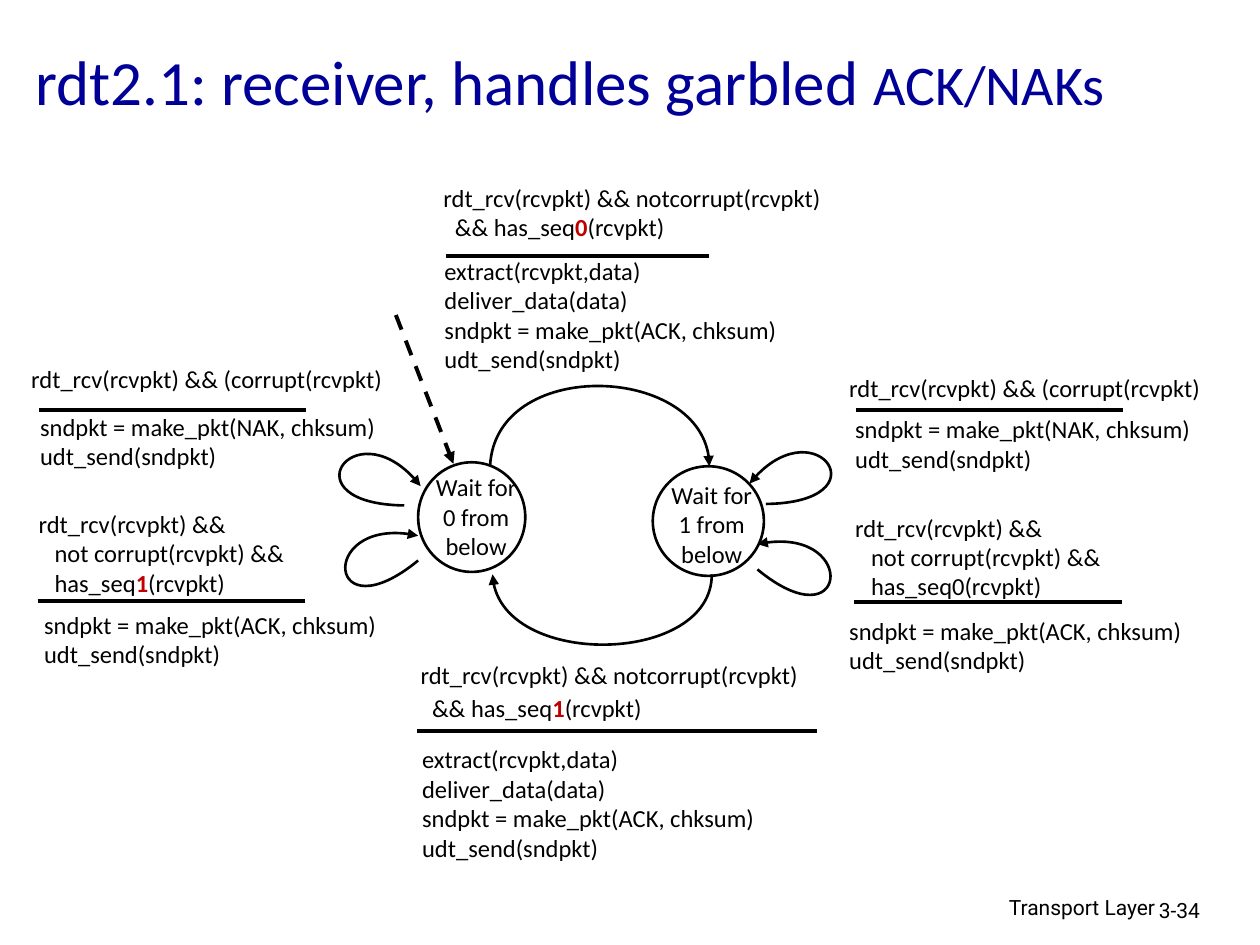
from dataclasses import dataclass

from pptx import Presentation
from pptx.dml.color import RGBColor
from pptx.enum.dml import MSO_LINE_DASH_STYLE as Dash
from pptx.enum.shapes import MSO_CONNECTOR as Connector, MSO_SHAPE as Preset
from pptx.enum.text import MSO_ANCHOR as Anchor, PP_ALIGN as Align
from pptx.oxml.ns import qn
from pptx.util import Cm, Pt

BLACK = RGBColor(0x00, 0x00, 0x00)
WHITE = RGBColor(0xFF, 0xFF, 0xFF)
NAVY = RGBColor(0x00, 0x00, 0x99)
RED = RGBColor(0xC0, 0x00, 0x00)


@dataclass
class Label:
    """Lines of text; a part between asterisks is highlighted."""
    x: float
    y: float
    width: float
    height: float
    lines: list[str]
    indent: float = 0  # left indent of all lines after the first
    gap: float = 0  # points before all lines after the first


@dataclass
class State:
    x: float
    y: float
    width: float
    text_x: float
    text_y: float
    number: int


ACK = ["sndpkt = make_pkt(ACK, chksum)", "udt_send(sndpkt)"]
NAK = ["sndpkt = make_pkt(NAK, chksum)", "udt_send(sndpkt)"]
DELIVER = ["extract(rcvpkt,data)", "deliver_data(data)", *ACK]
CORRUPT = ["rdt_rcv(rcvpkt) && (corrupt(rcvpkt)"]


def in_order(digit: str) -> list[str]:
    return ["rdt_rcv(rcvpkt) && notcorrupt(rcvpkt)",
            f"&& has_seq{digit}(rcvpkt)"]


def duplicate(digit: str) -> list[str]:
    return ["rdt_rcv(rcvpkt) &&", "not corrupt(rcvpkt) &&",
            f"has_seq{digit}(rcvpkt)"]


LABELS = [
    # Top and bottom transitions
    Label(8.69, 3.56, 8.69, 1.57, in_order("*0*"), indent=0.23),
    Label(8.71, 5.03, 9.65, 1.96, DELIVER),
    Label(8.23, 13.18, 9.96, 1.57, in_order("*1*"), indent=0.23, gap=2),
    Label(8.26, 14.88, 10.69, 2.77, DELIVER),
    # Left loops
    Label(0.38, 7.21, 7.98, 1.7, CORRUPT),
    Label(0.56, 8.18, 8.41, 1.14, NAK),
    Label(0.53, 10.13, 7.29, 1.7, duplicate("*1*"), indent=0.32),
    Label(0.64, 12.17, 8.18, 1.14, ACK),
    # Right loops
    Label(16.87, 7.39, 7.98, 1.7, CORRUPT),
    Label(16.99, 8.23, 8.41, 1.14, NAK),
    Label(16.99, 10.21, 7.29, 1.7, duplicate("0"), indent=0.32),
    Label(16.87, 12.29, 8.18, 1.14, ACK),
]

# Lines between event and action: left, right, height on the page
RULES = [
    (8.99, 14.3, 5.16), (8.41, 16.46, 14.73),
    (0.79, 6.17, 8.26), (0.76, 6.15, 12.12),
    (17.25, 22.63, 8.26), (17.22, 22.61, 12.14),
]

STATES = [
    State(8.43, 9.32, 2.16, 8.48, 9.4, 0),
    State(13.16, 9.4, 2.24, 13.23, 9.55, 1),
]

# Transition arrows: start, two control points, end
CURVES = [
    [(9.88, 9.4), (9.98, 7.21), (14.3, 7.34), (14.3, 9.4)],
    [(14.35, 11.58), (14.35, 13.39), (10.01, 13.49), (9.93, 11.58)],
    [(15.44, 10.16), (17.81, 10.13), (16.41, 8.13), (15.11, 9.75)],
    [(15.27, 11.48), (17.09, 12.98), (17.32, 10.54), (15.27, 10.97)],
    [(8.43, 11.3), (6.6, 12.8), (6.4, 10.36), (8.43, 10.8)],
    [(8.15, 10.19), (5.79, 10.16), (7.19, 8.15), (8.48, 9.8)],
]


def add_span(para, text: str, *, size: float = 14, font: str = "Calibri",
             color: RGBColor = BLACK, bold: bool = False) -> None:
    span = para.add_run()
    span.text = text
    span.font.size = Pt(size)
    span.font.name = font
    span.font.bold = bold
    span.font.color.rgb = color


def add_label(shapes, label: Label, *, align=Align.LEFT, **style) -> None:
    box = shapes.add_textbox(Cm(label.x), Cm(label.y),
                             Cm(label.width), Cm(label.height))
    frame = box.text_frame
    frame.word_wrap = True
    for row, line in enumerate(label.lines):
        para = frame.add_paragraph() if row else frame.paragraphs[0]
        para.alignment = align
        if row and label.indent:
            para._p.get_or_add_pPr().set("marL", str(Cm(label.indent)))
        if row and label.gap:
            para.space_before = Pt(label.gap)
        for part, text in enumerate(line.split("*")):
            marked = {"color": RED, "bold": True} if part % 2 else {}
            add_span(para, text, **{**style, **marked})


def add_arrowhead(line) -> None:
    end = line._get_or_add_ln().makeelement(qn("a:tailEnd"), {"type": "triangle"})
    line._get_or_add_ln().append(end)


def add_line(shapes, x1: float, y1: float, x2: float, y2: float):
    line = shapes.add_connector(Connector.STRAIGHT, Cm(x1), Cm(y1), Cm(x2), Cm(y2))
    line.line.color.rgb = BLACK
    line.line.width = Pt(2.25)
    properties = line._element.spPr
    properties.append(properties.makeelement(qn("a:effectLst"), {}))
    return line


def add_curve(shapes, points: list[tuple[float, float]]) -> None:
    start, *others = [(Cm(x), Cm(y)) for x, y in points]
    builder = shapes.build_freeform(*start)
    builder.add_line_segments(others, close=False)
    curve = builder.convert_to_shape()
    # Turn the three straight segments into one Bézier segment
    path = next(curve._element.iter(qn("a:path")))
    bezier = path.makeelement(qn("a:cubicBezTo"), {})
    for segment in path.findall(qn("a:lnTo")):
        bezier.append(segment[0])
        path.remove(segment)
    path.append(bezier)
    curve.shadow.inherit = False
    curve.fill.background()
    curve.line.color.rgb = BLACK
    curve.line.width = Pt(1.5)
    add_arrowhead(curve.line)


def add_state(shapes, state: State) -> None:
    members = shapes.add_group_shape().shapes
    circle = members.add_shape(Preset.OVAL, Cm(state.x), Cm(state.y),
                               Cm(state.width), Cm(2.21))
    circle.shadow.inherit = False
    circle.fill.solid()
    circle.fill.fore_color.rgb = WHITE
    circle.line.color.rgb = BLACK
    circle.line.width = Pt(1.5)
    name = Label(state.text_x, state.text_y, 2.24, 1.7,
                 ["Wait for", f"{state.number} from below"])
    add_label(members, name, align=Align.CENTER)


def add_title(page) -> None:
    title = page.shapes.title
    title.left, title.top, title.width, title.height = (
        Cm(0.46), Cm(0.3), Cm(24.74), Cm(2.62))
    title.text_frame.vertical_anchor = Anchor.MIDDLE
    para = title.text_frame.paragraphs[0]
    para.alignment = Align.LEFT
    add_span(para, "rdt2.1: receiver, handles garbled ", size=36, color=NAVY)
    add_span(para, "ACK/NAKs", size=32, color=NAVY)


def main() -> None:
    deck = Presentation()
    deck.slide_width, deck.slide_height = Cm(25.4), Cm(19.05)
    page = deck.slides.add_slide(deck.slide_layouts[5])
    shapes = page.shapes
    add_title(page)

    # State machine
    for state in STATES:
        add_state(shapes, state)
    initial = add_line(shapes, 7.98, 6.35, 9.14, 9.35)
    initial.line.dash_style = Dash.DASH
    add_arrowhead(initial.line)
    for points in CURVES:
        add_curve(shapes, points)

    # Events above the lines, actions below
    for label in LABELS:
        add_label(shapes, label)
    for left, right, y in RULES:
        add_line(shapes, left, y, right, y)

    # Footer
    add_label(shapes, Label(15.49, 17.91, 8.05, 0.79, ["Transport Layer"]),
              align=Align.RIGHT, size=12, font="Roboto")
    add_label(shapes, Label(23.11, 17.96, 1.88, 0.76, ["3-34"]),
              size=12, font="Roboto")

    deck.save("out.pptx")


if __name__ == "__main__":
    main()
